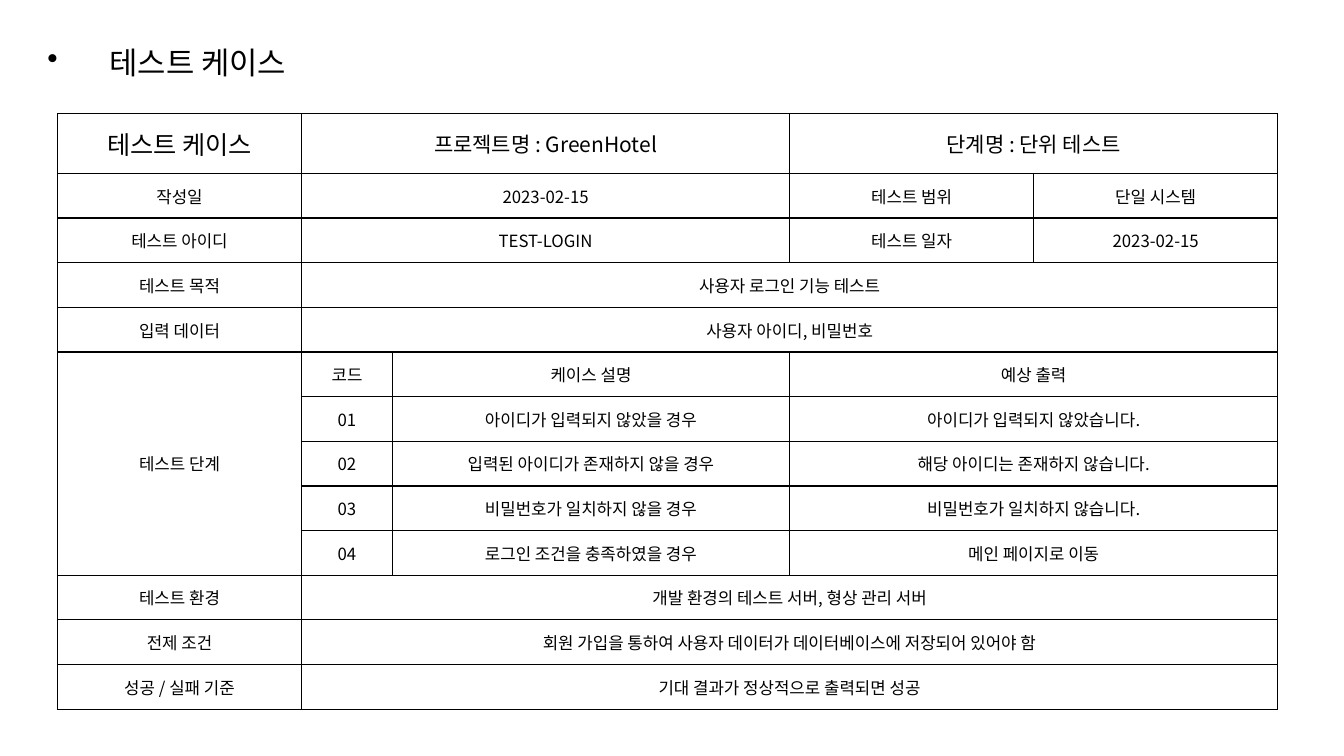
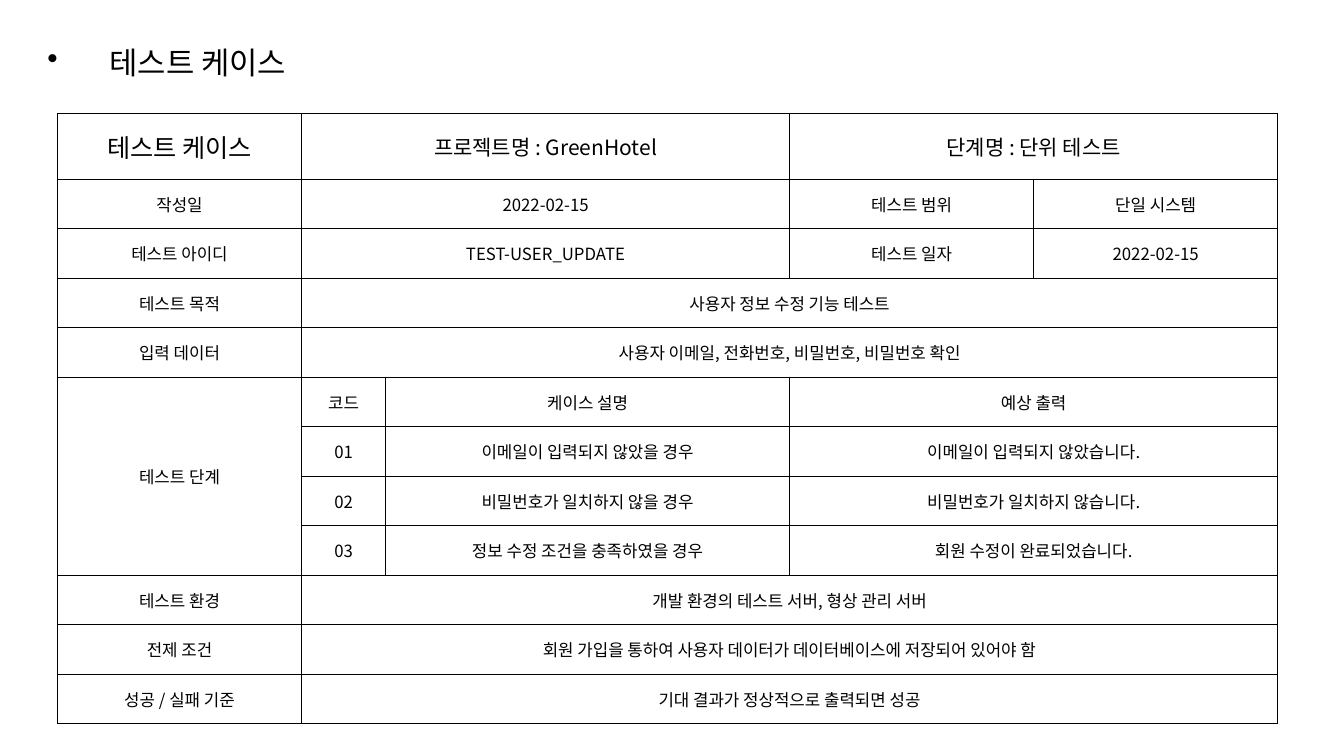
from lxml import etree
from pptx import Presentation
from pptx.dml.color import RGBColor
from pptx.enum.text import MSO_ANCHOR, MSO_AUTO_SIZE, PP_ALIGN
from pptx.oxml.ns import qn
from pptx.util import Cm, Pt

MIDDLE = MSO_ANCHOR.MIDDLE
NO_FIT = MSO_AUTO_SIZE.NONE
LEFT, CENTER = PP_ALIGN.LEFT, PP_ALIGN.CENTER

COLORS = {"ink": "000000", "paper": "FFFFFF"}
FONT = "Noto Sans CJK KR"
TITLE = "테스트 케이스"
TITLE_BOX = {"left": Cm(0.94), "top": Cm(0.46), "width": Cm(30), "height": Cm(2.31)}
INDENT = Cm(1.57)
TABLE_LEFT, TABLE_TOP = Cm(1.45), Cm(2.87)
COL = 6.15
HEADER_SIZES = [18, 15, 15, 15, 15]
BODY_SIZE = 12

CASES = [
    {
        "date": "2023-02-15",
        "id": "TEST-LOGIN",
        "purpose": "사용자 로그인 기능 테스트",
        "inputs": "사용자 아이디, 비밀번호",
        "steps": [
            ("아이디가 입력되지 않았을 경우", "아이디가 입력되지 않았습니다."),
            ("입력된 아이디가 존재하지 않을 경우", "해당 아이디는 존재하지 않습니다."),
            ("비밀번호가 일치하지 않을 경우", "비밀번호가 일치하지 않습니다."),
            ("로그인 조건을 충족하였을 경우", "메인 페이지로 이동"),
        ],
        "code_width": 2.29,
        "header_height": 1.5,
        "height": 15.01,
    },
    {
        "date": "2022-02-15",
        "id": "TEST-USER_UPDATE",
        "purpose": "사용자 정보 수정 기능 테스트",
        "inputs": "사용자 이메일, 전화번호, 비밀번호, 비밀번호 확인",
        "steps": [
            ("이메일이 입력되지 않았을 경우", "이메일이 입력되지 않았습니다."),
            ("비밀번호가 일치하지 않을 경우", "비밀번호가 일치하지 않습니다."),
            ("정보 수정 조건을 충족하였을 경우", "회원 수정이 완료되었습니다."),
        ],
        "code_width": 2.12,
        "header_height": 1.65,
        "height": 15.37,
    },
]


def write_text(p, text, size, align):
    p.alignment = align
    r = p.add_run()
    r.text = text
    r.font.color.rgb = RGBColor.from_string(COLORS["ink"])
    for name, value in {"size": Pt(size), "bold": False, "name": FONT}.items():
        setattr(r.font, name, value)
    etree.SubElement(r.font._element, qn("a:ea"), typeface=FONT)


def style_cell(cell):
    tc_pr = cell._tc.get_or_add_tcPr()
    for side in ("lnL", "lnR", "lnT", "lnB"):
        line = etree.SubElement(tc_pr, qn(f"a:{side}"), w=str(Pt(1)))
        fill = etree.SubElement(line, qn("a:solidFill"))
        etree.SubElement(fill, qn("a:srgbClr"), val=COLORS["ink"])
    cell.fill.solid()
    cell.fill.fore_color.rgb = RGBColor.from_string(COLORS["paper"])
    cell.vertical_anchor = MIDDLE


prs = Presentation()
prs.slide_width, prs.slide_height = Cm(33.87), Cm(19.05)
layout = prs.slide_layouts[5]

for case in CASES:
    s = prs.slides.add_slide(layout)
    title = s.shapes.title
    for name, value in TITLE_BOX.items():
        setattr(title, name, value)
    tf = title.text_frame
    for name, value in {"word_wrap": True, "auto_size": NO_FIT, "vertical_anchor": MIDDLE}.items():
        setattr(tf, name, value)
    p = tf.paragraphs[0]
    p.line_spacing = 0.9
    p_pr = p._p.get_or_add_pPr()
    p_pr.set("marL", str(INDENT))
    p_pr.set("indent", str(-INDENT))
    etree.SubElement(p_pr, qn("a:buChar"), char="•")
    write_text(p, TITLE, 22, LEFT)

    steps = case["steps"]
    rows = [
        [TITLE, "프로젝트명 : GreenHotel", None, "단계명 : 단위 테스트", None],
        ["작성일", case["date"], None, "테스트 범위", "단일 시스템"],
        ["테스트 아이디", case["id"], None, "테스트 일자", case["date"]],
        ["테스트 목적", case["purpose"], None, None, None],
        ["입력 데이터", case["inputs"], None, None, None],
        ["테스트 단계", "코드", "케이스 설명", "예상 출력", None],
    ]
    first_step = len(rows) - 1
    for number, (description, output) in enumerate(steps, 1):
        rows.append([None, f"{number:02d}", description, output, None])
    rows += [
        ["테스트 환경", "개발 환경의 테스트 서버, 형상 관리 서버", None, None, None],
        ["전제 조건", "회원 가입을 통하여 사용자 데이터가 데이터베이스에 저장되어 있어야 함", None, None, None],
        ["성공 / 실패 기준", "기대 결과가 정상적으로 출력되면 성공", None, None, None],
    ]

    code_width = case["code_width"]
    widths = [COL, code_width, 2 * COL - code_width, COL, COL]
    table = s.shapes.add_table(
        len(rows), len(widths), TABLE_LEFT, TABLE_TOP, Cm(sum(widths)), Cm(case["height"])
    ).table
    table.first_row = table.horz_banding = False
    for column, width in zip(table.columns, widths):
        column.width = Cm(width)
    body_height = (case["height"] - case["header_height"]) / (len(rows) - 1)
    for i, row in enumerate(table.rows):
        row.height = Cm(body_height if i else case["header_height"])

    for i, texts in enumerate(rows):
        for j, text in enumerate(texts):
            cell = table.cell(i, j)
            style_cell(cell)
            if text is None:
                continue
            write_text(cell.text_frame.paragraphs[0], text, BODY_SIZE if i else HEADER_SIZES[j], CENTER)
            last = j
            while last + 1 < len(texts) and texts[last + 1] is None:
                last += 1
            if last > j:
                cell.merge(table.cell(i, last))
    table.cell(first_step, 0).merge(table.cell(first_step + len(steps), 0))

prs.save("out.pptx")
